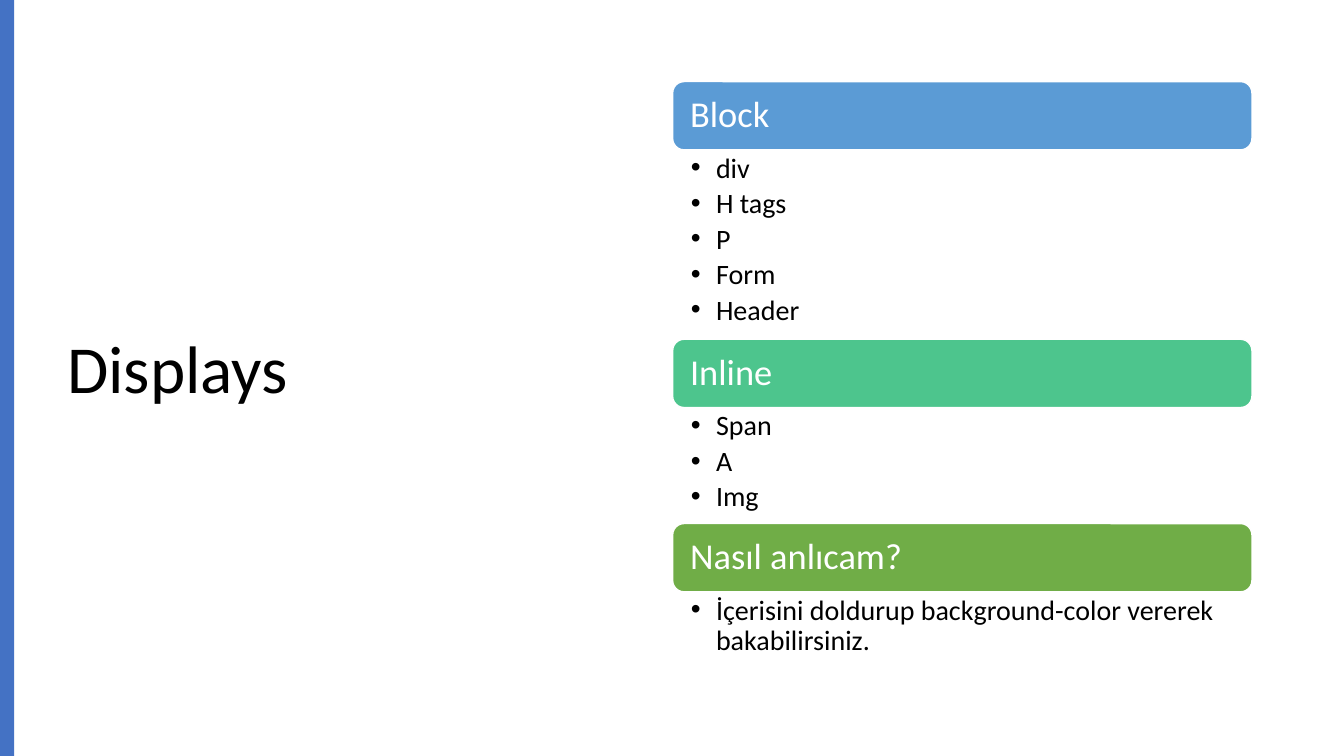
import pptx
import pptx.dml.color
import pptx.enum.shapes
import pptx.enum.text
import pptx.util
from lxml import etree

Inches, Pt = pptx.util.Inches, pptx.util.Pt
SHAPE = pptx.enum.shapes.MSO_SHAPE
ANCHOR = pptx.enum.text.MSO_ANCHOR
ALIGN = pptx.enum.text.PP_ALIGN

WIDTH, HEIGHT = 13.33, 7.5
COLUMN, ROW = WIDTH / 100, HEIGHT / 100
HEADING_ROWS = 9.03
FONT = "Calibri"

SECTIONS = [
    ("Block", "5B9BD5", 25.05, ["div", "H tags", "P", "Form", "Header"]),
    ("Inline", "4DC58D", 15.35, ["Span", "A", "Img"]),
    ("Nasıl anlıcam?", "70AD47", 9.2,
     ["İçerisini doldurup background-color vererek bakabilirsiniz."]),
]


def colour(hex_string):
    return pptx.dml.color.RGBColor.from_string(hex_string)


def grid(left, top, columns, rows):
    return (Inches(left * COLUMN), Inches(top * ROW),
            Inches(columns * COLUMN), Inches(rows * ROW))


def write(frame, lines, size, hex_string, anchor, insets):
    frame.word_wrap = True
    frame.vertical_anchor = anchor
    left, top, right, bottom = insets
    frame.margin_left, frame.margin_top = Inches(left), Inches(top)
    frame.margin_right, frame.margin_bottom = Inches(right), Inches(bottom)
    frame.text = "\n".join(lines)
    for paragraph in frame.paragraphs:
        paragraph.alignment = ALIGN.LEFT
        paragraph.line_spacing = 0.9
        font = paragraph.runs[0].font
        font.name, font.size = FONT, Pt(size)
        font.color.rgb = colour(hex_string)


def add_bullet(paragraph):
    paragraph.space_after = Pt(3.75)
    properties = paragraph._p.get_or_add_pPr()
    properties.set("marL", str(Inches(0.25)))
    properties.set("indent", str(-Inches(0.25)))
    namespace = "{http://schemas.openxmlformats.org/drawingml/2006/main}"
    etree.SubElement(properties, namespace + "buFont", typeface="Arial")
    etree.SubElement(properties, namespace + "buChar", char="•")


def add_panel(slide, kind, box, fill):
    panel = slide.shapes.add_shape(kind, *grid(*box))
    panel.shadow.inherit = False
    panel.fill.solid()
    panel.fill.fore_color.rgb = colour(fill)
    panel.line.fill.background()
    return panel


def add_title(slide, box):
    title = slide.shapes.add_textbox(*grid(*box))
    write(title.text_frame, ["Displays"], 48, "000000", ANCHOR.MIDDLE,
          (0.1, 0.05, 0.1, 0.05))


def add_section(slide, box, name, fill, items):
    left, top, columns, rows = box
    heading = add_panel(slide, SHAPE.ROUNDED_RECTANGLE,
                        (left, top, columns, HEADING_ROWS), fill)
    heading.line.color.rgb = colour("FFFFFF")
    heading.line.width = Pt(1)
    write(heading.text_frame, [name], 26, "FFFFFF", ANCHOR.MIDDLE,
          (0.14, 0.1, 0.14, 0.1))
    members = slide.shapes.add_textbox(
        *grid(left, top + HEADING_ROWS, columns, rows - HEADING_ROWS))
    write(members.text_frame, items, 20, "000000", ANCHOR.TOP,
          (0.18, 0.04, 0.2, 0.04))
    for paragraph in members.text_frame.paragraphs:
        add_bullet(paragraph)


def add_sections(slide, left, top, columns):
    for name, fill, item_rows, items in SECTIONS:
        rows = HEADING_ROWS + item_rows
        add_section(slide, (left, top, columns, rows), name, fill, items)
        top += rows


def main():
    deck = pptx.Presentation()
    deck.slide_width, deck.slide_height = Inches(WIDTH), Inches(HEIGHT)
    slide = deck.slides.add_slide(deck.slide_layouts[6])
    add_title(slide, (4.25, 9, 42.5, 80.3))
    add_panel(slide, SHAPE.RECTANGLE, (0, 0, 1.05, 100), "4472C4")
    add_sections(slide, 50.05, 10.8, 43.1)
    deck.save("out.pptx")


if __name__ == "__main__":
    main()
